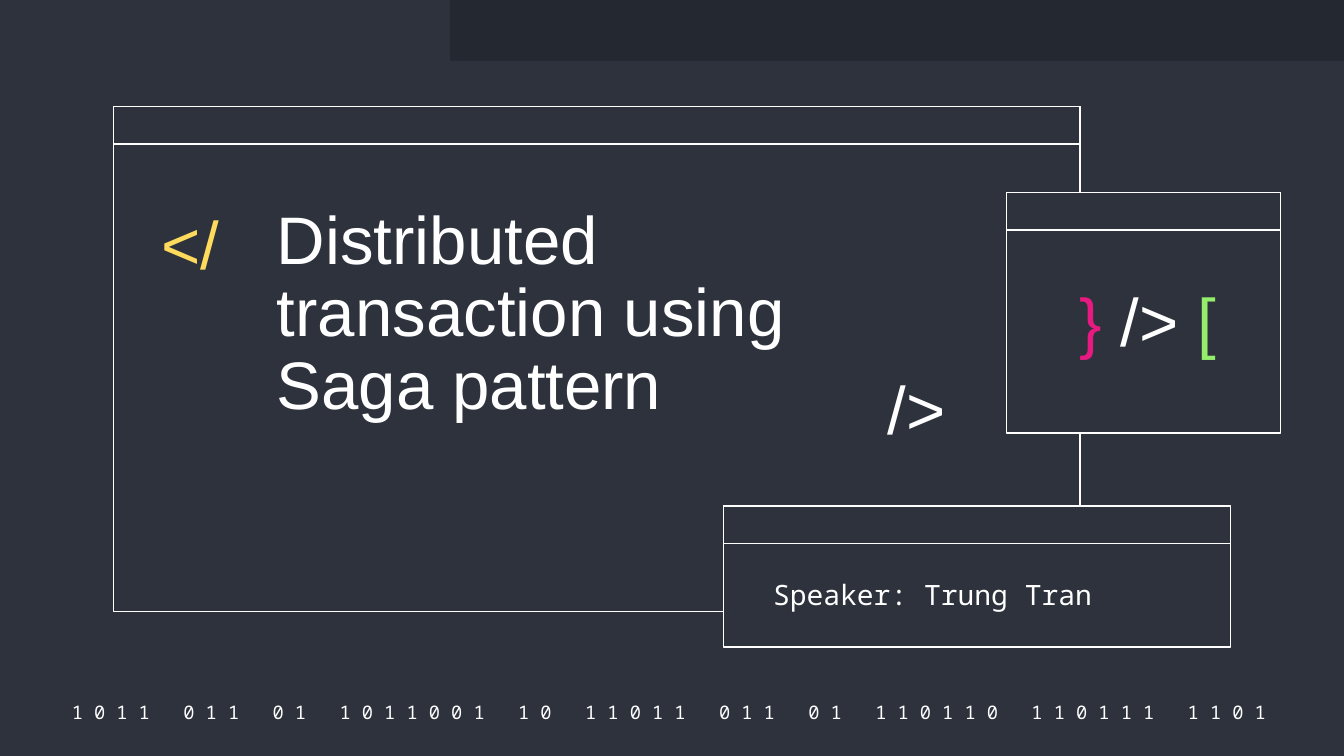
from typing import NamedTuple

from pptx import Presentation
from pptx import util as u
from pptx.dml.color import RGBColor
from pptx.enum import shapes, text

CELL = u.Inches(0.1)
COLS, ROWS = 100, 56.25
BAR_ROWS = 2.8
SANS, MONO = "Arial", "Noto Sans Mono"
COLORS = {
    "back": "2D323C",
    "band": "242830",
    "white": "FFFFFF",
    "yellow": "FFDB5D",
    "pink": "E81981",
    "green": "94EE6B",
}
BITS = ["1011", "011", "01", "1011001", "10", "11011",
        "011", "01", "110110", "110111", "1101"]


class Box(NamedTuple):
    col: float
    row: float
    cols: float
    rows: float

    def emu(self) -> list[int]:
        return [round(v * CELL) for v in self]


class Label(NamedTuple):
    box: Box
    runs: list[tuple[str, str]]
    size: int = 36
    font: str = SANS
    align: text.PP_ALIGN = text.PP_ALIGN.LEFT
    anchor: text.MSO_ANCHOR = text.MSO_ANCHOR.MIDDLE
    spacing: float = 0.9


def rgb(name: str) -> RGBColor:
    return RGBColor.from_string(COLORS[name])


def add_rect(s, box: Box, fill: str, line: str | None = None) -> None:
    sp = s.shapes.add_shape(shapes.MSO_SHAPE.RECTANGLE, *box.emu())
    sp.shadow.inherit = False
    sp.fill.solid()
    sp.fill.fore_color.rgb = rgb(fill)
    if line:
        sp.line.color.rgb = rgb(line)
        sp.line.width = u.Pt(0.75)
    else:
        sp.line.fill.background()


def add_window(s, box: Box) -> None:
    for part in (box, box._replace(rows=BAR_ROWS)):
        add_rect(s, part, "back", "white")


def write_label(sp, label: Label) -> None:
    sp.left, sp.top, sp.width, sp.height = label.box.emu()
    tf = sp.text_frame
    tf.word_wrap = True
    tf.auto_size = text.MSO_AUTO_SIZE.NONE
    tf.vertical_anchor = label.anchor
    tf.margin_left = tf.margin_right = tf.margin_top = tf.margin_bottom = CELL
    p = tf.paragraphs[0]
    p.alignment = label.align
    p.line_spacing = label.spacing
    p.space_before = u.Pt(0)
    for words, color in label.runs:
        r = p.add_run()
        r.text = words
        r.font.size = u.Pt(label.size)
        r.font.name = label.font
        r.font.color.rgb = rgb(color)


def add_label(s, label: Label) -> None:
    write_label(s.shapes.add_textbox(*label.box.emu()), label)


BINARY = Label(Box(3.4, 52, 92.7, 2),
               [("   ".join(" ".join(bits) for bits in BITS), "white")],
               size=10, font=MONO, align=text.PP_ALIGN.CENTER, spacing=1)
WINDOWS = [
    Box(8.43, 7.93, 71.93, 37.6),
    Box(53.85, 37.65, 37.7, 10.5),
    Box(74.88, 14.33, 20.4, 17.9),
]
LABELS = [
    Label(Box(11, 15.15, 7.7, 6.6), [("</", "yellow")]),
    Label(Box(65.05, 27.45, 7.7, 6.6), [("/>", "white")]),
    Label(Box(78.74, 20.5, 13.3, 8.2),
          [("}", "pink"), (" /> ", "white"), ("[", "green")],
          align=text.PP_ALIGN.CENTER, anchor=text.MSO_ANCHOR.TOP),
    Label(Box(56.54, 41.3, 33.3, 5.8), [("Speaker: Trung Tran", "white")],
          size=15, font=MONO, spacing=1),
]
TITLE = Label(Box(19.6, 14.34, 45.4, 18.3),
              [("Distributed transaction using Saga pattern", "white")],
              anchor=text.MSO_ANCHOR.TOP)


def main() -> None:
    prs = Presentation()
    prs.slide_width, prs.slide_height = round(COLS * CELL), round(ROWS * CELL)
    s = prs.slides.add_slide(prs.slide_layouts.get_by_name("Title Only"))
    s.background.fill.solid()
    s.background.fill.fore_color.rgb = rgb("back")

    add_label(s, BINARY)
    add_rect(s, Box(33.5, 0, COLS - 33.5, 4.53), "band")
    for box in WINDOWS:
        add_window(s, box)
    for label in LABELS:
        add_label(s, label)

    title = s.shapes.title
    write_label(title, TITLE)
    title.element.getparent().append(title.element)
    prs.save("out.pptx")


if __name__ == "__main__":
    main()
